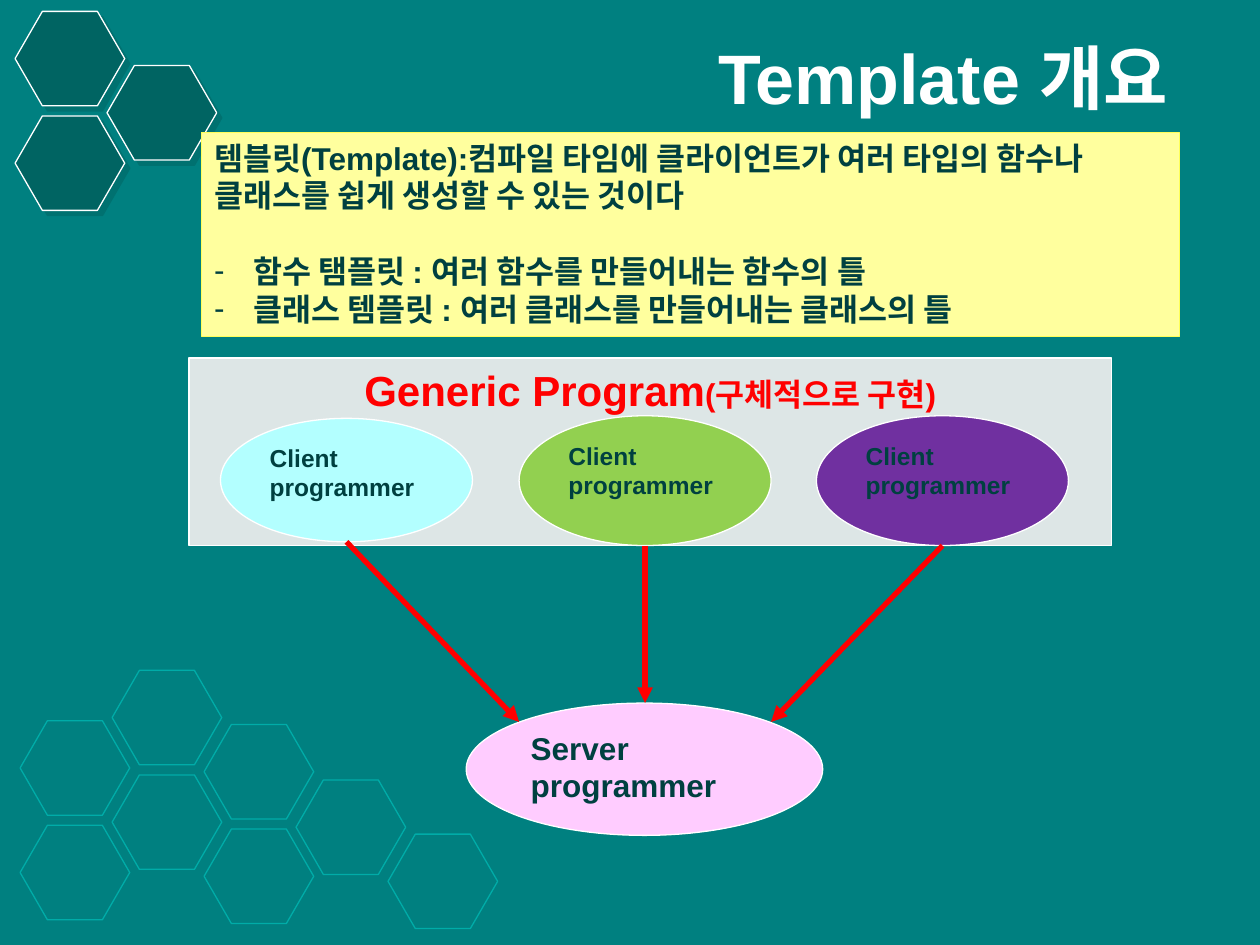
import pptx
import pptx.dml.color
import pptx.enum.shapes
import pptx.enum.text
import pptx.oxml
import pptx.oxml.ns
import pptx.util
from pptx.util import Inches, Pt

SHAPE = pptx.enum.shapes.MSO_SHAPE
ALIGN = pptx.enum.text.PP_ALIGN
ANCHOR = pptx.enum.text.MSO_ANCHOR
NAMESPACE = pptx.oxml.ns.nsdecls("a")


def color(value):
    return pptx.dml.color.RGBColor.from_string(value)


class SlideBuilder:
    font = "Arial"
    text_color = "004040"
    white = "FFFFFF"
    red = "FF0000"
    hexagon_size = (0.87, 0.75)
    column_step = 0.73
    row_step = 0.83

    def __init__(self, presentation, background):
        self.slide = presentation.slides.add_slide(presentation.slide_layouts[1])
        fill = self.slide.background.fill
        fill.solid()
        fill.fore_color.rgb = color(background)

    def place(self, shape, left, top, width, height):
        shape.left, shape.top = Inches(left), Inches(top)
        shape.width, shape.height = Inches(width), Inches(height)

    def paint(self, shape, fill, line):
        if fill:
            shape.fill.solid()
            shape.fill.fore_color.rgb = color(fill)
        else:
            shape.fill.background()
        shape.line.color.rgb = color(line)
        shape.line.width = Pt(0.75)

    def format_run(self, run, size, text_color):
        run.font.name = self.font
        run.font.size = Pt(size)
        run.font.bold = True
        run.font.color.rgb = color(text_color)

    def format_text(self, text_frame, size, text_color, align, anchor):
        text_frame.word_wrap = True
        text_frame.auto_size = pptx.enum.text.MSO_AUTO_SIZE.NONE
        text_frame.vertical_anchor = anchor
        for paragraph in text_frame.paragraphs:
            paragraph.alignment = align
            paragraph.space_before = Pt(0)
            for run in paragraph.runs:
                self.format_run(run, size, text_color)

    def title(self, text, box):
        shape = self.slide.shapes.title
        self.place(shape, *box)
        shape.text_frame.text = text
        self.format_text(shape.text_frame, 40, self.white, ALIGN.RIGHT, ANCHOR.MIDDLE)

    def definition(self, lead, items, box):
        shape = self.slide.placeholders[1]
        self.place(shape, *box)
        self.paint(shape, "FFFF9E", "FFFF59")
        text_frame = shape.text_frame
        text_frame.text = "\n".join([lead, *items])
        self.format_text(text_frame, 18, self.text_color, ALIGN.LEFT, ANCHOR.TOP)
        text_frame.paragraphs[0].space_after = Pt(21.5)
        for index, paragraph in enumerate(text_frame.paragraphs):
            indent = Inches(0.31) if index else 0
            bullet = '<a:buChar %s char="-"/>' if index else "<a:buNone %s/>"
            properties = paragraph._p.get_or_add_pPr()
            properties.set("marL", str(indent))
            properties.set("indent", str(-indent))
            properties.append(pptx.oxml.parse_xml(bullet % NAMESPACE))

    def shape(self, kind, box, fill, line, text="", size=18):
        shape = self.slide.shapes.add_shape(kind, *map(Inches, box))
        shape.shadow.inherit = False
        self.paint(shape, fill, line)
        if text:
            shape.text_frame.text = text
            self.format_text(shape.text_frame, size, self.text_color, ALIGN.LEFT, ANCHOR.TOP)
        return shape

    def panel(self, heading, remark, box):
        shape = self.shape(SHAPE.RECTANGLE, box, "DDE6E6", self.white, heading, 24)
        paragraph = shape.text_frame.paragraphs[0]
        paragraph.alignment = ALIGN.CENTER
        paragraph.add_run().text = remark
        for run, size in zip(paragraph.runs, (24, 18)):
            self.format_run(run, size, self.red)

    def honeycomb(self, left, columns, fill, line, shadow=None):
        """Each column is (top, number of hexagons); all go behind the text."""
        for column, (top, count) in enumerate(columns):
            for row in range(count):
                box = (left + column * self.column_step, top + row * self.row_step,
                       *self.hexagon_size)
                hexagon = self.shape(SHAPE.HEXAGON, box, fill, line)
                hexagon.adjustments[0] = 0.289
                if shadow:
                    self.drop_shadow(hexagon, shadow)
                hexagon._element.getparent().insert(2, hexagon._element)

    def drop_shadow(self, shape, shadow):
        effects = shape._element.spPr.find(pptx.oxml.ns.qn("a:effectLst"))
        effects.append(pptx.oxml.parse_xml(
            f'<a:outerShdw {NAMESPACE} dist="{Pt(4.2)}" dir="2700000" algn="ctr" rotWithShape="0">'
            f'<a:srgbClr val="{shadow}"><a:alpha val="50000"/></a:srgbClr></a:outerShdw>'))

    def arrow(self, start, end):
        connector = self.slide.shapes.add_connector(
            pptx.enum.shapes.MSO_CONNECTOR.STRAIGHT, *map(Inches, (*start, *end)))
        connector.line.color.rgb = color(self.red)
        connector.line.width = Pt(3)
        connector.line._get_or_add_ln().append(
            pptx.oxml.parse_xml(f'<a:tailEnd {NAMESPACE} type="triangle"/>'))
        connector._element.spPr.append(pptx.oxml.parse_xml(f"<a:effectLst {NAMESPACE}/>"))


def main():
    presentation = pptx.Presentation()
    presentation.slide_width, presentation.slide_height = Inches(10), Inches(7.5)
    builder = SlideBuilder(presentation, "008080")

    # Background honeycombs
    builder.honeycomb(0.16, [(5.72, 2), (5.32, 2), (5.75, 2), (6.19, 1), (6.62, 1)],
                      None, "00ACA8")
    builder.honeycomb(0.12, [(0.09, 2), (0.52, 1)], "006462", builder.white, "006462")

    # Title and definition
    builder.title("Template 개요", (1.85, 0.17, 7.52, 0.87))
    builder.definition(
        "템블릿(Template):컴파일 타임에 클라이언트가 여러 타입의 함수나 클래스를 쉽게 생성할 수 있는 것이다",
        ["함수 탬플릿 : 여러 함수를 만들어내는 함수의 틀",
         "클래스 템플릿 : 여러 클래스를 만들어내는 클래스의 틀"],
        (1.6, 1.05, 7.76, 1.62))

    # Client and server programmers
    builder.panel("Generic Program", "(구체적으로 구현)", (1.5, 2.84, 7.32, 1.49))
    clients = [(1.75, 3.32, 0.98, "B3FFFF"),
               (4.12, 3.3, 1.03, "92D050"),
               (6.48, 3.3, 1.03, "7030A0")]
    for left, top, height, fill in clients:
        builder.shape(SHAPE.OVAL, (left, top, 2, height), fill, builder.white,
                      "Client programmer", 14)
    builder.shape(SHAPE.OVAL, (3.7, 5.58, 2.83, 1.05), "FFCCFF", builder.white,
                  "Server\nprogrammer")

    # Arrows from each client to the server
    server_points = [(4.12, 5.73), (5.12, 5.58), (6.12, 5.73)]
    for (left, top, height, _), end in zip(clients, server_points):
        builder.arrow((left + 1, top + height), end)

    presentation.save("out.pptx")


if __name__ == "__main__":
    main()
